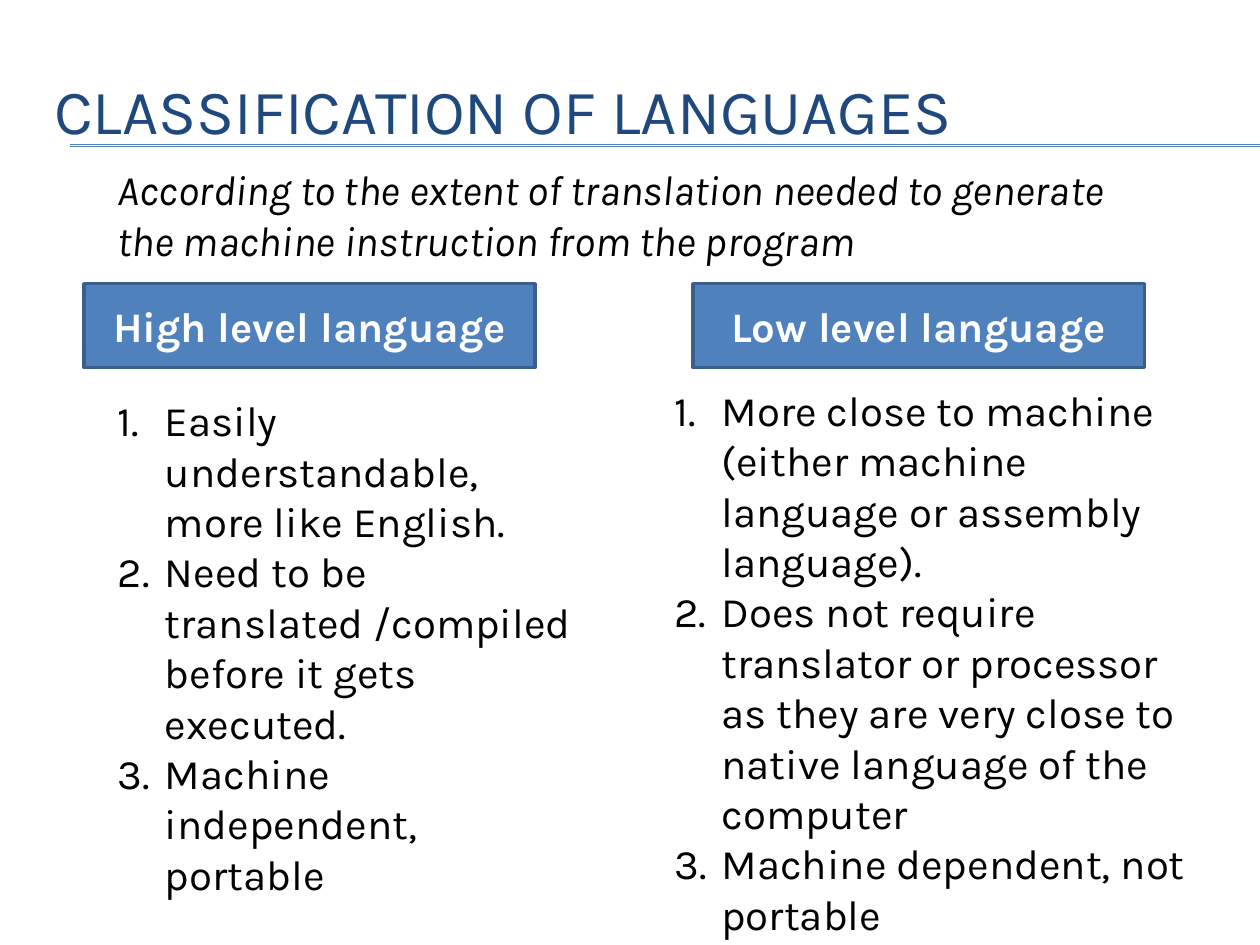
import dataclasses
import typing

import pptx
import pptx.dml.color
import pptx.enum.shapes
import pptx.enum.text
import pptx.oxml.xmlchemy
import pptx.util
from lxml import etree
from pptx.oxml.ns import qn

Cm = pptx.util.Cm
Pt = pptx.util.Pt

FONT = "Karla"
COLORS = {
    "background": "FFFFFF",
    "title": "1F497D",
    "text": "000000",
    "accent": "4F81BD",
    "header_line": "3A5F8C",
    "header_text": "FFFFFF",
}
HEADER_TOP, HEADER_WIDTH, HEADER_HEIGHT = 5.72, 9.1, 1.69
NUMBER_INDENT = 0.95


@dataclasses.dataclass
class Box:
    """A rectangle in centimetres."""
    left: float
    top: float
    width: float
    height: float

    def lengths(self) -> tuple:
        return Cm(self.left), Cm(self.top), Cm(self.width), Cm(self.height)


@dataclasses.dataclass
class LanguageLevel:
    heading: str
    heading_left: float
    list_box: Box
    points: list[str]


LEVELS = [
    LanguageLevel(
        "High level language", 1.69, Box(2.12, 7.83, 9.95, 8.2),
        ["Easily understandable, more like English.",
         "Need to be translated /compiled before it gets executed.",
         "Machine independent, portable"]),
    LanguageLevel(
        "Low level language", 13.97, Box(13.34, 7.62, 11, 10.5),
        ["More close to machine (either machine language or assembly language).",
         "Does not require translator or processor as they are very close to "
         "native language of the computer",
         "Machine dependent, not portable"]),
]


def color(name: str) -> pptx.dml.color.RGBColor:
    return pptx.dml.color.RGBColor.from_string(COLORS[name])


def add_run(paragraph: typing.Any, text: str, color_name: str = "text",
            size: float = 24, bold: bool = False, italic: bool = False) -> None:
    run = paragraph.add_run()
    run.text = text
    run.font.name = FONT
    run.font.size = Pt(size)
    run.font.bold = bold
    run.font.italic = italic
    run.font.color.rgb = color(color_name)


def place(shape: typing.Any, box: Box) -> None:
    shape.left, shape.top, shape.width, shape.height = box.lengths()


def fill_title(title: typing.Any) -> None:
    place(title, Box(0.84, 0.84, 24.13, 2.74))
    title.text_frame.vertical_anchor = pptx.enum.text.MSO_ANCHOR.MIDDLE
    paragraph = title.text_frame.paragraphs[0]
    paragraph.alignment = pptx.enum.text.PP_ALIGN.LEFT
    add_run(paragraph, "CLASSIFICATION OF LANGUAGES", "title", 36)


def add_rule(slide: typing.Any, top: float) -> None:
    """Draw a thin line under the title, out to the right edge."""
    line = slide.shapes.add_connector(
        pptx.enum.shapes.MSO_CONNECTOR.STRAIGHT,
        Cm(1.42), Cm(top), Cm(25.4), Cm(top))
    line.line.color.rgb = color("accent")
    line.line.width = Pt(0.75)
    etree.SubElement(line._element.spPr, qn("a:effectLst"))


def add_subtitle(slide: typing.Any) -> None:
    subtitle = slide.shapes.add_textbox(*Box(2.12, 3.18, 21.16, 2.31).lengths())
    frame = subtitle.text_frame
    frame.word_wrap = True
    frame.auto_size = pptx.enum.text.MSO_AUTO_SIZE.SHAPE_TO_FIT_TEXT
    add_run(frame.paragraphs[0],
            "According to the extent of translation needed to generate "
            "the machine instruction from the program", italic=True)


def add_header(slide: typing.Any, level: LanguageLevel) -> None:
    box = Box(level.heading_left, HEADER_TOP, HEADER_WIDTH, HEADER_HEIGHT)
    header = slide.shapes.add_shape(
        pptx.enum.shapes.MSO_SHAPE.RECTANGLE, *box.lengths())
    header.shadow.inherit = False
    header.fill.solid()
    header.fill.fore_color.rgb = color("accent")
    header.line.color.rgb = color("header_line")
    header.line.width = Pt(2)
    header.text_frame.vertical_anchor = pptx.enum.text.MSO_ANCHOR.MIDDLE
    paragraph = header.text_frame.paragraphs[0]
    paragraph.alignment = pptx.enum.text.PP_ALIGN.CENTER
    add_run(paragraph, level.heading, "header_text", bold=True)


def number_paragraph(paragraph: typing.Any) -> None:
    properties = paragraph._p.get_or_add_pPr()
    properties.set("marL", str(Cm(NUMBER_INDENT)))
    properties.set("indent", str(-Cm(NUMBER_INDENT)))
    etree.SubElement(properties, qn("a:buFont"), typeface="+mj-lt")
    etree.SubElement(properties, qn("a:buAutoNum"), type="arabicPeriod")


def fill_list(placeholder: typing.Any, level: LanguageLevel) -> None:
    place(placeholder, level.list_box)
    frame = placeholder.text_frame
    frame.word_wrap = True
    frame.auto_size = pptx.enum.text.MSO_AUTO_SIZE.SHAPE_TO_FIT_TEXT
    for index, point in enumerate(level.points):
        paragraph = frame.add_paragraph() if index else frame.paragraphs[0]
        paragraph.space_before = Pt(0)
        number_paragraph(paragraph)
        add_run(paragraph, point)


def main() -> None:
    presentation = pptx.Presentation()
    presentation.slide_width = Cm(25.4)
    presentation.slide_height = Cm(19.05)
    two_content_layout = presentation.slide_layouts[3]
    slide = presentation.slides.add_slide(two_content_layout)
    slide.background.fill.solid()
    slide.background.fill.fore_color.rgb = color("background")

    for top in (2.92, 2.95):
        add_rule(slide, top)
    fill_title(slide.shapes.title)
    add_subtitle(slide)
    for index, level in enumerate(LEVELS, start=1):
        add_header(slide, level)
        fill_list(slide.placeholders[index], level)
    presentation.save("out.pptx")


if __name__ == "__main__":
    main()
